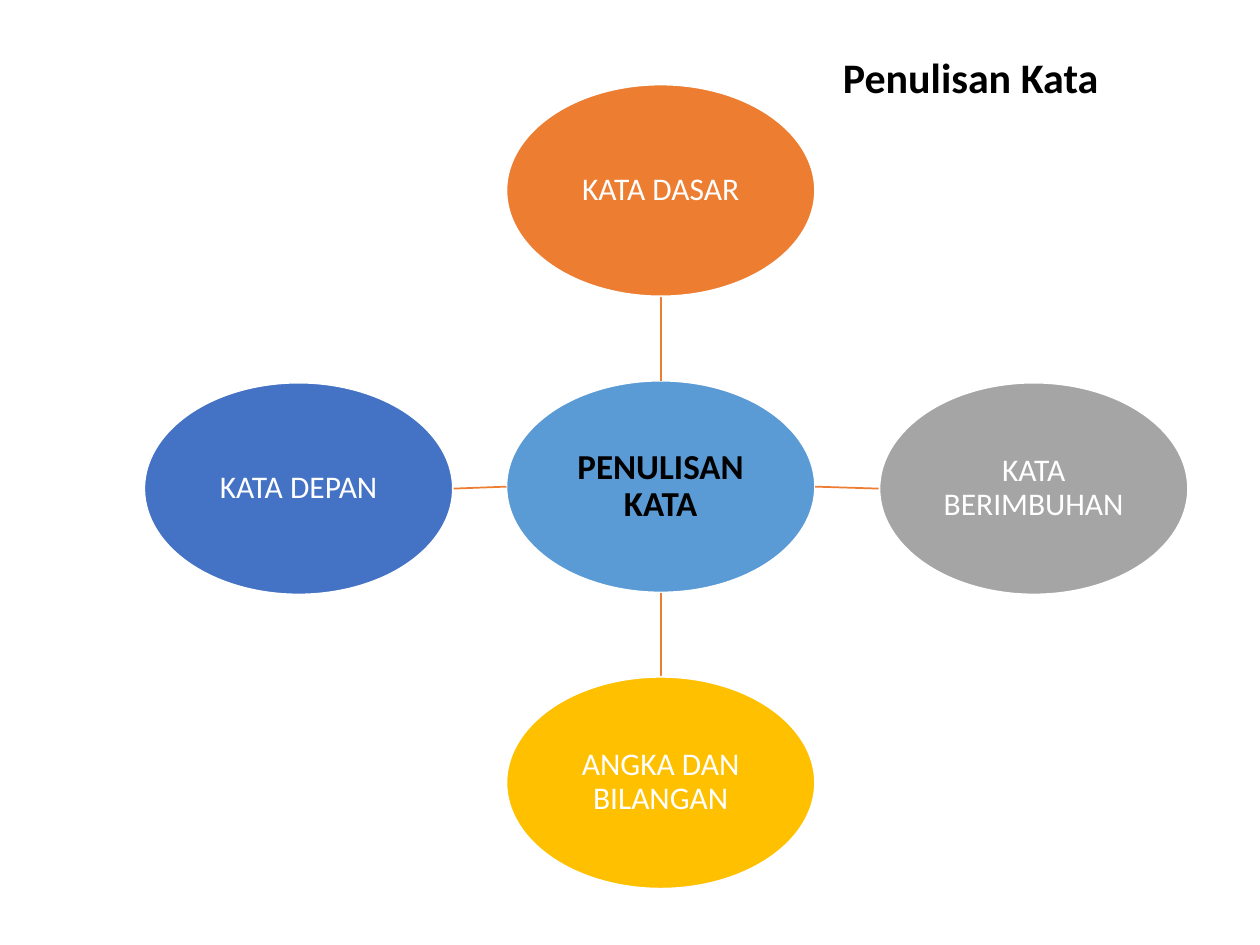
from lxml.etree import SubElement
from pptx import Presentation
from pptx.dml.color import RGBColor
from pptx.enum.shapes import MSO_CONNECTOR, MSO_SHAPE
from pptx.enum.text import MSO_ANCHOR, PP_ALIGN
from pptx.oxml.ns import qn
from pptx.util import Cm, Pt


def paint(color, hue):
    color.rgb = RGBColor.from_string(hue)


def write(shape, text, size=18, hue="FFFFFF", bold=False, inset=0.03):
    frame = shape.text_frame
    frame.word_wrap = True
    frame.vertical_anchor = MSO_ANCHOR.MIDDLE
    frame.margin_left = frame.margin_right = Cm(inset)
    frame.margin_top = frame.margin_bottom = Cm(inset)
    para = frame.paragraphs[0]
    para.alignment = PP_ALIGN.CENTER
    para.line_spacing = 0.9
    run = para.add_run()
    run.text = text
    run.font.name = "Calibri"
    run.font.size = Pt(size)
    run.font.bold = bold
    paint(run.font.color, hue)


deck = Presentation()
deck.slide_width, deck.slide_height = Cm(25.4), Cm(19.05)
slide = deck.slides.add_slide(deck.slide_layouts[5])
shapes = slide.shapes

title = shapes.title
title.left, title.top = Cm(14.17), Cm(0.95)
title.width, title.height = Cm(10.8), Cm(1.32)
write(title, "Penulisan Kata", size=24, hue="000000", bold=True)

# Hub first, then the spokes clockwise: text, fill, offset from the hub,
# and the direction in which the spoke lies
mid_x, mid_y = 13.32, 9.81
wide, high = 6.22, 4.27
nodes = [
    ("PENULISAN KATA", "5B9BD5", 0, 0, None),
    ("KATA DASAR", "ED7D31", 0, -5.97, (0, -1)),
    ("KATA BERIMBUHAN", "A5A5A5", 7.52, 0.04, (1, 0)),
    ("ANGKA DAN BILANGAN", "FFC000", 0, 5.97, (0, 1)),
    ("KATA DEPAN", "4472C4", -7.3, 0.04, (-1, 0)),
]
for text, hue, dx, dy, way in nodes:
    x, y = mid_x + dx, mid_y + dy
    look = {"size": 20, "hue": "000000", "bold": True}
    if way:
        look = {}
        edge_x, edge_y = way[0] * wide / 2, way[1] * high / 2
        link = shapes.add_connector(
            MSO_CONNECTOR.STRAIGHT,
            Cm(mid_x + edge_x), Cm(mid_y + edge_y),
            Cm(x - edge_x), Cm(y - edge_y),
        )
        paint(link.line.color, "ED7D31")
        link.line.width = Pt(1)
        SubElement(link._element.spPr, qn("a:effectLst"))

    oval = shapes.add_shape(
        MSO_SHAPE.OVAL,
        Cm(x - wide / 2), Cm(y - high / 2), Cm(wide), Cm(high),
    )
    oval.shadow.inherit = False
    oval.fill.solid()
    paint(oval.fill.fore_color, hue)
    paint(oval.line.color, "FFFFFF")
    oval.line.width = Pt(1)
    write(oval, text, **look)

deck.save("out.pptx")
